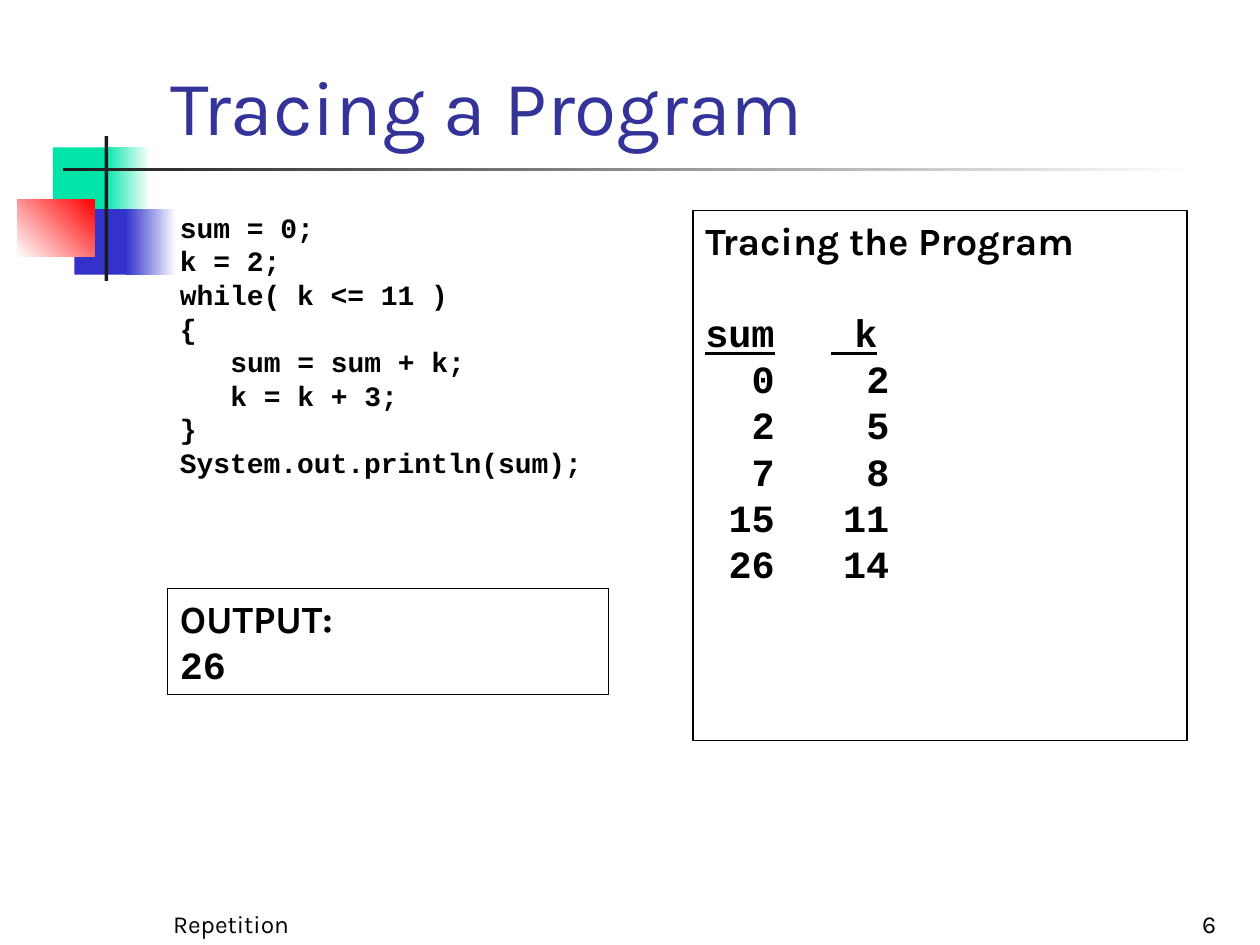
from lxml.etree import SubElement
from pptx import Presentation
from pptx.dml.color import RGBColor
from pptx.enum.shapes import MSO_SHAPE as Shape
from pptx.enum.text import MSO_ANCHOR as Anchor, MSO_AUTO_SIZE as AutoSize, PP_ALIGN as Align
from pptx.oxml.ns import qn
from pptx.util import Inches, Pt

WHITE = RGBColor(0xFF, 0xFF, 0xFF)
BLACK = RGBColor(0, 0, 0)
CHARCOAL = RGBColor(0x1C, 0x1C, 0x1C)
GREEN = RGBColor(0x00, 0xE4, 0xA8)
BLUE = RGBColor(0x33, 0x33, 0xCC)
RED = RGBColor(0xFF, 0, 0)
TITLE_BLUE = RGBColor(0x33, 0x33, 0x99)
SANS, MONO = "Karla", "Courier New"

CODE = [  # (indent level, line)
    (0, "sum = 0;"),
    (0, "k = 2;"),
    (0, "while( k <= 11 )"),
    (0, "{"),
    (1, "sum = sum + k;"),
    (1, "k = k + 3;"),
    (0, "}"),
    (0, "System.out.println(sum);"),
]
TRACE = [(0, 2), (2, 5), (7, 8), (15, 11), (26, 14)]


def inches(box):
    """Convert a (left, top, width, height) box to lengths."""
    return [Inches(value) for value in box]


def style(paragraph, size, font=SANS, bold=False, color=BLACK):
    """Format every run of a paragraph."""
    for run in paragraph.runs:
        run.font.size, run.font.name, run.font.bold = Pt(size), font, bold
        run.font.color.rgb = color


def set_tabs(paragraph, *stops):
    """Give a paragraph tab stops of (inches, alignment)."""
    tabs = SubElement(paragraph._p.get_or_add_pPr(), qn("a:tabLst"))
    for position, alignment in stops:
        SubElement(tabs, qn("a:tab"), pos=str(Inches(position)), algn=alignment)


def add_lines(frame, lines, size, heading=False):
    """Write bold monospaced lines, the first one sans if it is a heading."""
    frame.text = "\n".join(lines)
    for index, paragraph in enumerate(frame.paragraphs):
        style(paragraph, size, SANS if heading and index == 0 else MONO, bold=True)
        paragraph.line_spacing = Pt(size * 1.2)
    return frame.paragraphs


def add_block(slide, box, start, end=None, angle=0):
    """Draw a borderless rectangle, plain or fading from start to end."""
    block = slide.shapes.add_shape(Shape.RECTANGLE, *inches(box))
    block.shadow.inherit = False
    block.line.fill.background()
    if end is None:
        block.fill.solid()
        block.fill.fore_color.rgb = start
        return
    block.fill.gradient()
    block.fill.gradient_angle = angle
    for stop, color, position in zip(block.fill.gradient_stops, (start, end), (0, 1)):
        stop.color.rgb = color
        stop.position = position


def add_ornament(slide, left, top):
    """Draw the overlapping squares and the crossed rules."""
    for dx, dy, width, height, *colors in [
        (0.28, 0.09, 0.48, 0.52, GREEN),
        (0.69, 0.09, 0.36, 0.52, GREEN, WHITE),
        (0.45, 0.58, 0.46, 0.52, BLUE),
        (0.86, 0.58, 0.4, 0.52, BLUE, WHITE),
        (0, 0.5, 0.61, 0.46, WHITE, RED, 45),
        (0.69, 0, 0.03, 1.15, CHARCOAL),
        (0.36, 0.25, 9, 0.03, CHARCOAL, WHITE),
    ]:
        add_block(slide, (left + dx, top + dy, width, height), *colors)


def add_title(slide, box, text):
    """Place and format the title placeholder."""
    title = slide.shapes.title
    title.left, title.top, title.width, title.height = inches(box)
    frame = title.text_frame
    frame.text = text
    frame.vertical_anchor = Anchor.BOTTOM
    frame.auto_size = AutoSize.NONE
    frame.paragraphs[0].alignment = Align.LEFT
    style(frame.paragraphs[0], 44, color=TITLE_BLUE)


def add_text_box(slide, box):
    """Add a wrapping text box and return its frame."""
    frame = slide.shapes.add_textbox(*inches(box)).text_frame
    frame.word_wrap = True
    return frame


def add_footer(slide, box, text, alignment):
    """Add one footer text."""
    frame = add_text_box(slide, box)
    frame.text = text
    frame.vertical_anchor = Anchor.BOTTOM
    frame.paragraphs[0].alignment = alignment
    style(frame.paragraphs[0], 14)


def add_panel(slide, box):
    """Add an outlined panel and return its frame."""
    panel = slide.shapes.add_shape(Shape.RECTANGLE, *inches(box))
    panel.shadow.inherit = False
    panel.fill.background()
    panel.line.color.rgb = BLACK
    panel.line.width = Pt(0.75)
    frame = panel.text_frame
    frame.word_wrap = True
    frame.vertical_anchor = Anchor.TOP
    return frame


def add_code(slide, box):
    """Write the program, indented by level."""
    frame = add_text_box(slide, box)
    paragraphs = add_lines(frame, [line for _, line in CODE], 16)
    for paragraph, (level, _) in zip(paragraphs, CODE):
        properties = paragraph._p.get_or_add_pPr()
        properties.set("marL", str(Inches(0.4 * level)))
        properties.set("indent", "0")


def add_trace(slide, box):
    """Write the trace of both variables in tabbed columns."""
    lines = ["Tracing the Program", "sum\t k"]
    lines += [f"\t{total}\t{k}" for total, k in TRACE]
    _, header, *rows = add_lines(add_panel(slide, box), lines, 22, heading=True)
    header.space_before = Pt(26.4)
    header.text = ""
    for text, underline in (("sum", True), ("\t", False), (" k", True)):
        run = header.add_run()
        run.text = text
        run.font.underline = underline
    style(header, 22, MONO, bold=True)
    set_tabs(header, (1, "l"))
    for row in rows:
        set_tabs(row, (0.55, "r"), (1.46, "r"))
    for paragraph in (_, header, *rows):
        paragraph.alignment = Align.LEFT


def add_output(slide, box):
    """Write the program's output."""
    for paragraph in add_lines(add_panel(slide, box), ["OUTPUT:", "26"], 22, heading=True):
        paragraph.alignment = Align.LEFT


def main():
    """Build and save the slide."""
    deck = Presentation()
    deck.slide_width, deck.slide_height = Inches(10), Inches(7.5)
    slide = deck.slides.add_slide(deck.slide_layouts[5])
    add_ornament(slide, 0.14, 1.08)
    add_title(slide, (1.25, 0, 8.52, 1.25), "Tracing a Program")
    add_footer(slide, (0.25, 7, 3.17, 0.5), "Repetition", Align.CENTER)
    add_footer(slide, (7.67, 7, 2.08, 0.5), "6", Align.RIGHT)
    add_trace(slide, (5.5, 1.67, 3.92, 4.21))
    add_code(slide, (1.33, 1.62, 3.5, 2.66))
    add_output(slide, (1.33, 4.67, 3.5, 0.84))
    deck.save("out.pptx")


main()
